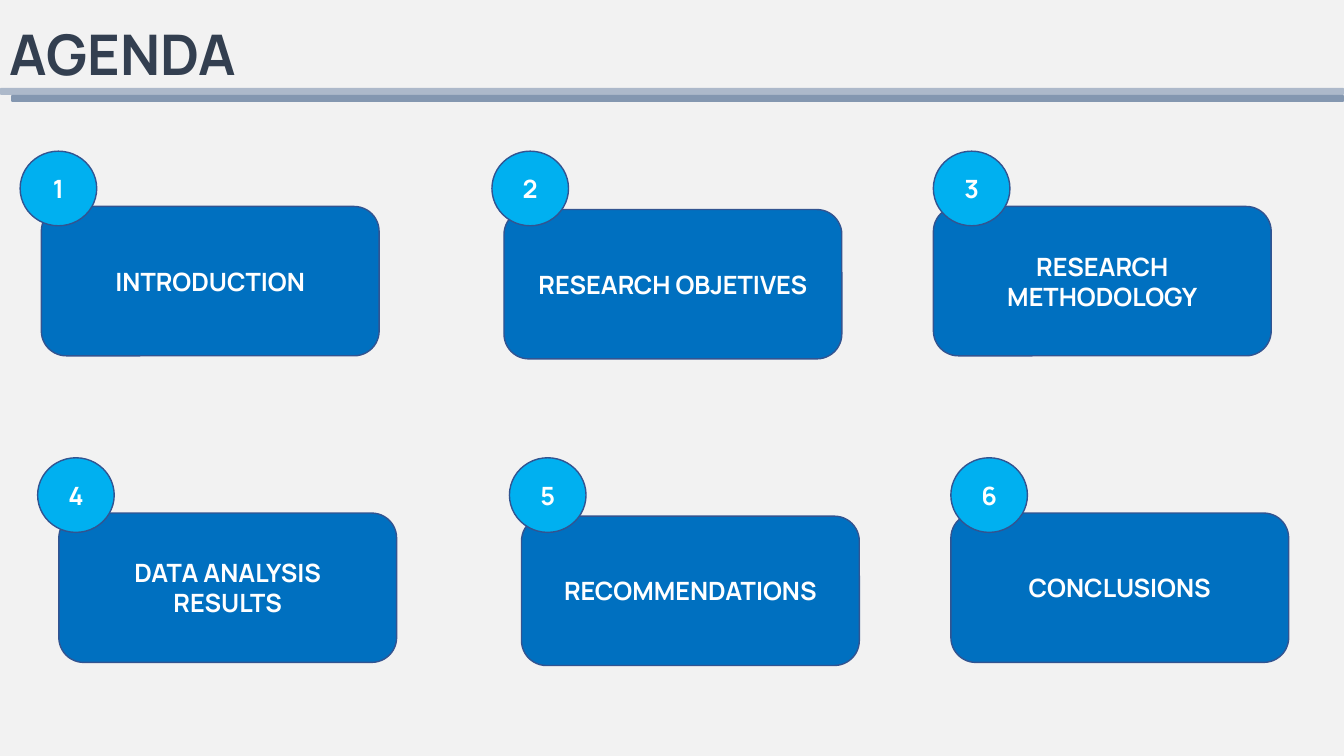
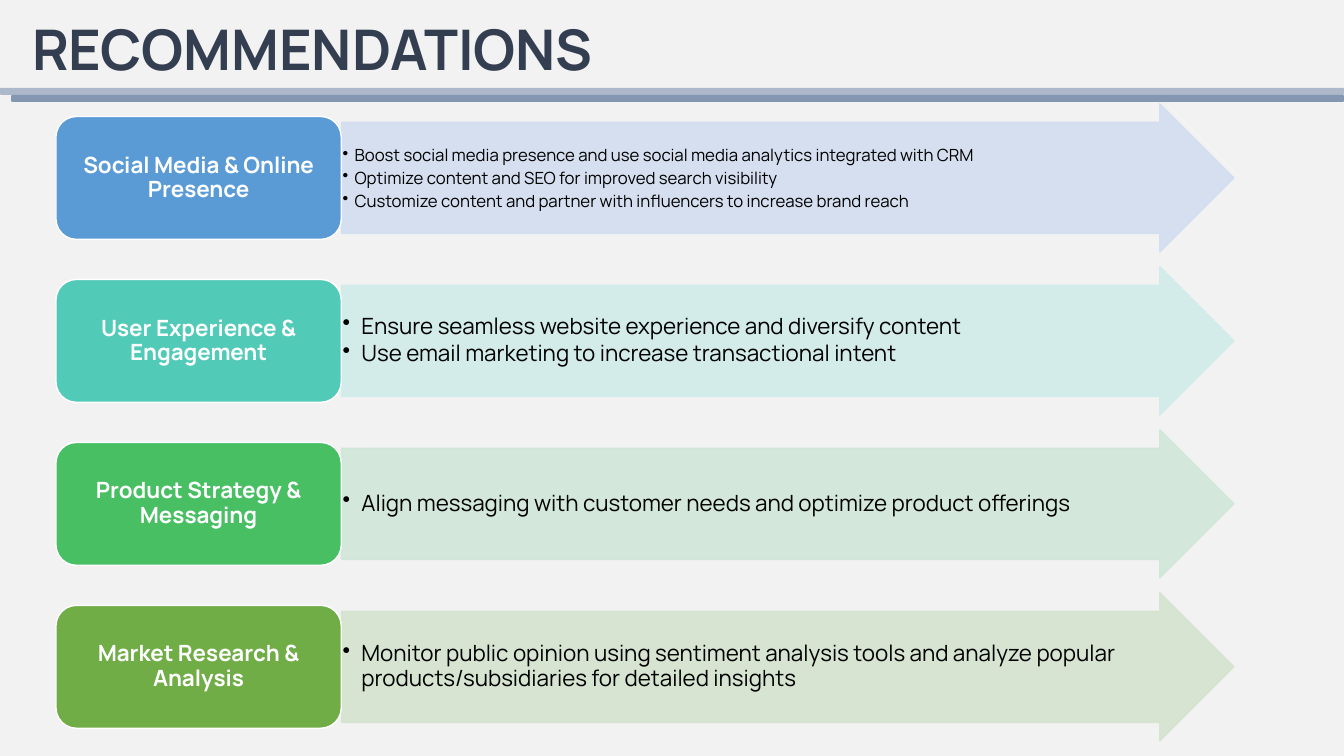
from lxml import etree
from pptx import Presentation
from pptx.dml.color import RGBColor
from pptx.enum.shapes import MSO_SHAPE
from pptx.enum.text import MSO_ANCHOR, PP_ALIGN
from pptx.oxml.ns import qn
from pptx.util import Pt

ROUND, OVAL, ARROW = MSO_SHAPE.ROUNDED_RECTANGLE, MSO_SHAPE.OVAL, MSO_SHAPE.RIGHT_ARROW
MIDDLE, LEFT, CENTER = MSO_ANCHOR.MIDDLE, PP_ALIGN.LEFT, PP_ALIGN.CENTER
FONT = "Manrope"
COLORS = {
    "back": "F2F2F2", "band_light": "ADB9CA", "band_dark": "8497B0", "title": "333F50",
    "card": "0070C0", "badge": "00B0F0", "outline": "325491", "white": "FFFFFF", "black": "000000",
    "blue": "5B9BD5", "blue_pale": "D2DEEF", "teal": "52CAB8", "teal_pale": "D0ECEA",
    "green": "49BF64", "green_pale": "D0E7D8", "olive": "70AD47", "olive_pale": "D5E3CF",
}
RGB = {name: RGBColor.from_string(value) for name, value in COLORS.items()}
TITLE = {"size": Pt(40), "bold": True, "name": FONT}
CARD = {"size": Pt(18), "bold": True, "name": FONT}
LABEL = {"size": Pt(16), "bold": True, "name": FONT}


def add_box(s, kind, x, y, w, h, fill, line=None):
    sp = s.shapes.add_shape(kind, Pt(x), Pt(y), Pt(w), Pt(h))
    sp.shadow.inherit = False
    sp.fill.solid()
    sp.fill.fore_color.rgb = RGB[fill]
    if line:
        sp.line.color.rgb = RGB[line]
        sp.line.width = Pt(1)
    else:
        sp.line.fill.background()
    return sp


def write(sp, lines, font, color, align=CENTER, margins=(7.2, 3.6, 7.2, 3.6), **spacing):
    tf = sp.text_frame
    tf.vertical_anchor = MIDDLE
    for side, margin in zip(("left", "top", "right", "bottom"), margins):
        setattr(tf, f"margin_{side}", Pt(margin))
    for i, line in enumerate(lines):
        p = tf.add_paragraph() if i else tf.paragraphs[0]
        p.alignment = align
        for key, value in spacing.items():
            setattr(p, key, value)
        r = p.add_run()
        r.text = line
        r.font.color.rgb = RGB[color]
        for key, value in font.items():
            setattr(r.font, key, value)
    return tf


prs = Presentation()
prs.slide_width, prs.slide_height = Pt(960), Pt(540)
back = prs.slide_master.background.fill
back.solid()
back.fore_color.rgb = RGB["back"]

slides = []
for title, x, y, w in [("AGENDA", 0, 10, 186.5), ("RECOMMENDATIONS", 15.8, 6.5, 434)]:
    s = prs.slides.add_slide(prs.slide_layouts[6])
    add_box(s, ROUND, 0, 62.8, 960, 5, "band_light")
    add_box(s, ROUND, 8, 67.8, 952, 5, "band_dark")
    sp = s.shapes.add_textbox(Pt(x), Pt(y), Pt(w), Pt(55.5))
    write(sp, [title], TITLE, "title", LEFT).word_wrap = False
    slides.append(s)
agenda, recommendations = slides

topics = [
    ["INTRODUCTION"], ["RESEARCH OBJETIVES"], ["RESEARCH METHODOLOGY"],
    ["DATA ANALYSIS", "RESULTS"], ["RECOMMENDATIONS"], ["CONCLUSIONS"],
]
columns = [(29.5, 147.5, 14.4), (360, 149.7, 351.4), (666.7, 147.5, 666.7)]
for i, topic in enumerate(topics):
    row, col = divmod(i, 3)
    card_x, card_y, badge_x = columns[col]
    dx, dy = row * 12.5, row * 219
    sp = add_box(agenda, ROUND, card_x + dx, card_y + dy, 241.3, 106.7, "card", "outline")
    write(sp, topic, CARD, "white")
    sp = add_box(agenda, OVAL, badge_x + dx, 108 + dy, 54.7, 53.3, "badge", "outline")
    write(sp, [str(i + 1)], CARD, "white")

groups = [
    ("blue", "Social Media & Online Presence", 12, 8.6, 1.0, [
        "Boost social media presence and use social media analytics integrated with CRM",
        "Optimize content and SEO for improved search visibility",
        "Customize content and partner with influencers to increase brand reach",
    ]),
    ("teal", "User Experience & Engagement", 16, 13.5, 0.9, [
        "Ensure seamless website experience and diversify content",
        "Use email marketing to increase transactional intent",
    ]),
    ("green", "Product Strategy & Messaging", 16, 13.5, 0.9, [
        "Align messaging with customer needs and optimize product offerings",
    ]),
    ("olive", "Market Research & Analysis", 16, 13.5, 0.9, [
        "Monitor public opinion using sentiment analysis tools and analyze popular "
        "products/subsidiaries for detailed insights",
    ]),
]
for i, (color, label, size, indent, leading, points) in enumerate(groups):
    y = 74.2 + i * 116.4
    sp = add_box(recommendations, ARROW, 244, y, 637.4, 105.8, color + "_pale", color + "_pale")
    sp.adjustments[0], sp.adjustments[1] = 0.75, 0.5
    for clr in sp._element.spPr.iter(qn("a:srgbClr")):
        etree.SubElement(clr, qn("a:alpha"), val="90000")
    tf = write(sp, points, {"size": Pt(size), "name": FONT}, "black", LEFT, (0.7, 0.7, 33, 0.7),
               line_spacing=leading, space_after=Pt(size * 0.15))
    for p in tf.paragraphs:
        pPr = p._p.get_or_add_pPr()
        pPr.set("marL", str(Pt(indent)))
        pPr.set("indent", str(-Pt(indent)))
        etree.SubElement(pPr, qn("a:buChar"), char="•")
    sp = add_box(recommendations, ROUND, 40, y + 9, 203.8, 87.8, color, "white")
    write(sp, [label], LABEL, "white", margins=(5, 2.5, 5, 2.5), line_spacing=0.9)

prs.save("out.pptx")
